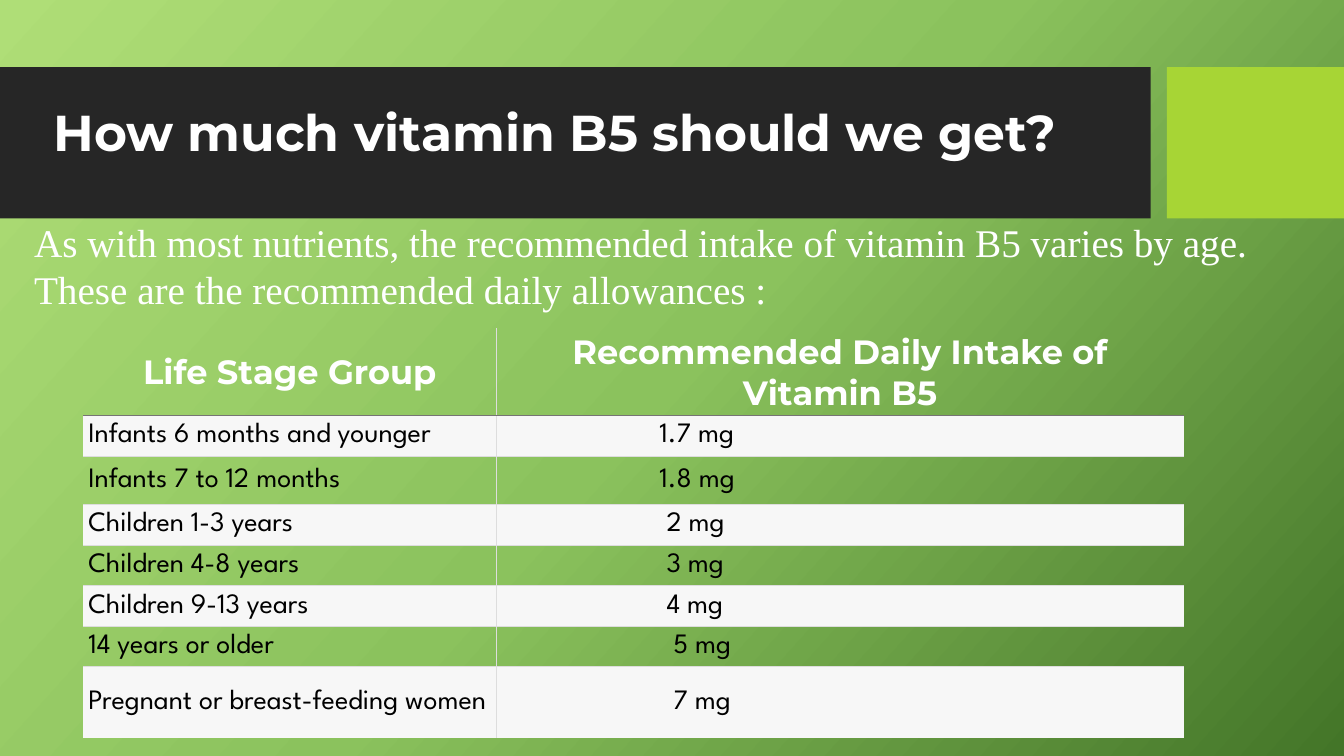
import copy

import pptx
import pptx.dml.color
import pptx.enum.shapes
import pptx.enum.text
import pptx.oxml
import pptx.oxml.ns
import pptx.util

Pt = pptx.util.Pt
RGB = pptx.dml.color.RGBColor.from_string
qn = pptx.oxml.ns.qn
ALIGN = pptx.enum.text.PP_ALIGN
ANCHOR = pptx.enum.text.MSO_ANCHOR

THEME = {
    "background": [(0, "AFDE77"), (0.5, "8BC25D"), (1, "437528")],
    "band": "262626",
    "accent": "A7D535",
    "row": "F7F7F7",
    "grid": ("DDDDDD", 0.75),
    "header_rule": ("767474", 1.5),
    "title": {"name": "Montserrat", "size": Pt(36), "bold": True, "color": "FFFFFF"},
    "intro": {"name": "Times New Roman", "size": Pt(28), "bold": False, "color": "FFFFFF"},
    "header": {"name": "Montserrat", "size": Pt(24), "bold": True, "color": "FFFFFF"},
    "body": {"name": "League Spartan", "size": Pt(20), "bold": False, "color": "000000"},
}


def write(frame, text, style, **layout):
    """Put one styled paragraph into a text frame."""
    paragraph = frame.paragraphs[0]
    run = paragraph.add_run()
    run.text = text
    for key, value in THEME[style].items():
        if key == "color":
            run.font.color.rgb = RGB(value)
        else:
            setattr(run.font, key, value)
    for key, value in layout.items():
        setattr(paragraph, key, value)
    return paragraph


def border(cell, side, line):
    """Draw one cell edge; None leaves it empty."""
    color, width = line or ("FFFFFF", 0)
    edge = pptx.oxml.parse_xml(
        f'<a:{side} {pptx.oxml.ns.nsdecls("a")} w="{int(Pt(width))}">'
        + (f'<a:solidFill><a:srgbClr val="{color}"/></a:solidFill>' if line else "<a:noFill/>")
        + f"</a:{side}>")
    cell._tc.get_or_add_tcPr().append(edge)


deck = pptx.Presentation()
deck.slide_width, deck.slide_height = Pt(960), Pt(540)
slide = deck.slides.add_slide(deck.slide_layouts[5])

# Background gradient
backdrop = slide.background.fill
backdrop.gradient()
backdrop.gradient_angle = 360 - 42
stops = slide._element.find(".//" + qn("a:gsLst"))
stops.append(copy.deepcopy(stops[-1]))
for stop, (position, color) in zip(backdrop.gradient_stops, THEME["background"]):
    stop.position = position
    stop.color.rgb = RGB(color)

# Title band and accent block, placed behind the title
for left, width, color in [(0, 822, "band"), (833.5, 126.5, "accent")]:
    block = slide.shapes.add_shape(pptx.enum.shapes.MSO_SHAPE.RECTANGLE,
                                   Pt(left), Pt(48), Pt(width), Pt(108))
    block.shadow.inherit = False
    block.fill.solid()
    block.fill.fore_color.rgb = RGB(THEME[color])
    block.line.fill.background()

# Title
title = slide.shapes.title
slide.shapes._spTree.append(title._element)
title.left, title.top, title.width, title.height = Pt(31), Pt(77), Pt(788), Pt(71)
for key, value in {"vertical_anchor": ANCHOR.TOP, "margin_top": 0, "word_wrap": True,
                   "auto_size": pptx.enum.text.MSO_AUTO_SIZE.NONE}.items():
    setattr(title.text_frame, key, value)
write(title.text_frame, "How much vitamin B5 should we get?", "title",
      alignment=ALIGN.LEFT, line_spacing=0.9)

# Introduction
intro = slide.shapes.add_textbox(Pt(17.3), Pt(152.6), Pt(905), Pt(75)).text_frame
intro.word_wrap = True
write(intro, "As with most nutrients, the recommended intake of vitamin B5 varies by age. "
      "These are the recommended daily allowances :", "intro")

# Intake table: life stage, dose, left indent of the dose, row height
HEADINGS = ["Life Stage Group", "Recommended Daily Intake of Vitamin B5"]
INTAKES = [
    ("Infants 6 months and younger", "1.7 mg", 113, 29),
    ("Infants 7 to 12 months", "1.8 mg", 113, 34.5),
    ("Children 1-3 years", "2 mg", 118, 29),
    ("Children 4-8 years", "3 mg", 118, 29),
    ("Children 9-13 years", "4 mg", 118, 29),
    ("14 years or older", "5 mg", 123, 29),
    ("Pregnant or breast-feeding women", "7 mg", 123, 51),
]
heights = [62.5] + [intake[3] for intake in INTAKES]
table_frame = slide.shapes.add_table(len(heights), 2, Pt(59.5), Pt(234.3),
                                     Pt(786), Pt(sum(heights)))
table = table_frame.table
table.first_row = table.horz_banding = False
NO_STYLE = "{2D5ABB26-0587-4C30-8999-92F81FD0307C}"
table._tbl.tblPr.find(qn("a:tableStyleId")).text = NO_STYLE
for column, width in zip(table.columns, [295, 491]):
    column.width = Pt(width)

rules = [None, THEME["header_rule"]] + [THEME["grid"]] * (len(INTAKES) - 1) + [None]
for r, height in enumerate(heights):
    table.rows[r].height = Pt(height)
    for c in range(2):
        cell = table.cell(r, c)
        for key, value in {"vertical_anchor": ANCHOR.MIDDLE, "margin_left": Pt(3.6),
                           "margin_right": Pt(3.6), "margin_top": Pt(2.7),
                           "margin_bottom": Pt(2.2)}.items():
            setattr(cell, key, value)
        for side, line in [("lnL", THEME["grid"] if c else None),
                           ("lnR", None if c else THEME["grid"]),
                           ("lnT", rules[r]), ("lnB", rules[r + 1])]:
            border(cell, side, line)
        if r % 2:
            cell.fill.solid()
            cell.fill.fore_color.rgb = RGB(THEME["row"])
        else:
            cell.fill.background()
        if r == 0:
            write(cell.text_frame, HEADINGS[c], "header", alignment=ALIGN.CENTER)
        else:
            entry = write(cell.text_frame, INTAKES[r - 1][c], "body", alignment=ALIGN.LEFT)
            if c:
                entry._p.get_or_add_pPr().set("marL", str(int(Pt(INTAKES[r - 1][2]))))

deck.save("out.pptx")
